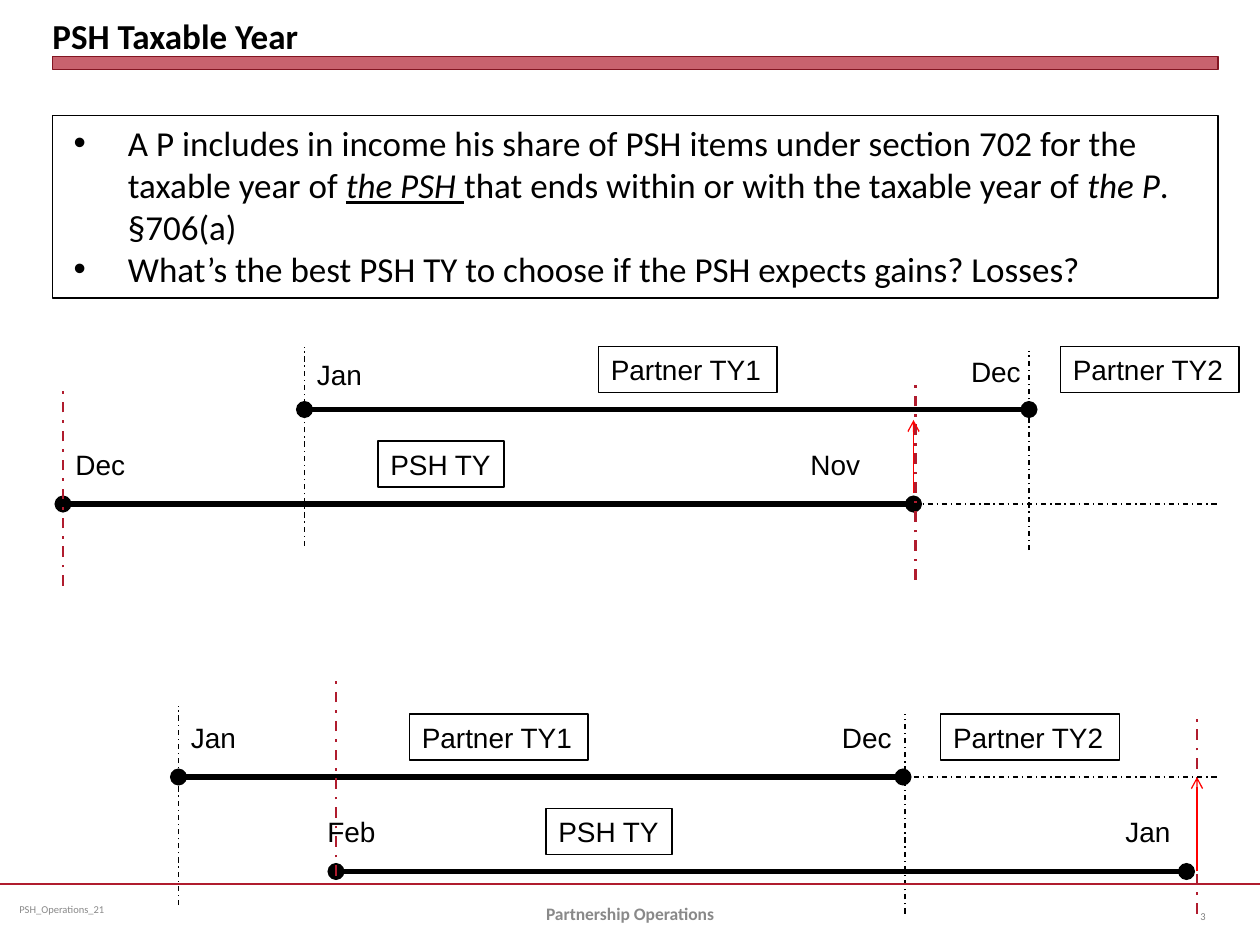
from lxml.etree import SubElement
from pptx import Presentation
from pptx.dml.color import RGBColor
from pptx.enum.dml import MSO_LINE
from pptx.enum.shapes import MSO_CONNECTOR, MSO_SHAPE
from pptx.enum.text import MSO_ANCHOR, MSO_AUTO_SIZE, PP_ALIGN
from pptx.oxml.ns import qn
from pptx.util import Inches, Pt

COLUMNS, ROWS = 120, 90
CELL = Inches(10) / COLUMNS
BLACK, CRIMSON, RED, GRAY = "000000", "B01C2E", "FF0000", "898989"
LABEL = {"name": "Arial", "size": Pt(16)}
BODY = {"name": "Calibri", "size": Pt(20)}
SMALL = {"name": "Calibri", "size": Pt(6)}
LABEL_HEIGHT = 4.4
MARKER_HEIGHT = 19


def grid(*values):
    """Turn grid cells into slide lengths."""
    return [round(value * CELL) for value in values]


def color(value):
    """Turn a hex string into a colour."""
    return RGBColor.from_string(value)


def add_line(page, start, end, ink=BLACK, width=0.75, dash=None, head=None, tail=None):
    """Draw a line between two grid points."""
    line = page.shapes.add_connector(MSO_CONNECTOR.STRAIGHT, *grid(*start, *end))
    line.line.color.rgb = color(ink)
    line.line.width = Pt(width)
    if dash:
        line.line.dash_style = dash
    outline = line.line._get_or_add_ln()
    for tag, kind in (("a:headEnd", head), ("a:tailEnd", tail)):
        if kind:
            SubElement(outline, qn(tag), type=kind)
    SubElement(line._element.spPr, qn("a:effectLst"))


def add_rectangle(page, box, ink=BLACK, width=0.75):
    """Draw an unfilled rectangle with a thin outline."""
    shape = page.shapes.add_shape(MSO_SHAPE.RECTANGLE, *grid(*box))
    shape.shadow.inherit = False
    shape.fill.background()
    shape.line.color.rgb = color(ink)
    shape.line.width = Pt(width)
    return shape


def add_span(para, text, style, ink=BLACK):
    """Add a run of formatted text to a paragraph."""
    span = para.add_run()
    span.text = text
    for name, value in style.items():
        setattr(span.font, name, value)
    span.font.color.rgb = color(ink)


def add_text(page, box, text, style, ink=BLACK, align=PP_ALIGN.LEFT, framed=False, **frame_style):
    """Write one line of text, framed or plain."""
    shape = add_rectangle(page, box) if framed else page.shapes.add_textbox(*grid(*box))
    settings = {"word_wrap": True, "vertical_anchor": MSO_ANCHOR.TOP, **frame_style}
    for name, value in settings.items():
        setattr(shape.text_frame, name, value)
    para = shape.text_frame.paragraphs[0]
    para.alignment = align
    add_span(para, text, style, ink)


def add_label(page, left, top, width, text, framed=False):
    """Write a timeline label that fits its text."""
    add_text(page, (left, top, width, LABEL_HEIGHT), text, LABEL, framed=framed,
             word_wrap=False, auto_size=MSO_AUTO_SIZE.SHAPE_TO_FIT_TEXT)


def add_header(page, left, top, width):
    """Place the title above its coloured bar."""
    margins = {f"margin_{side}": 0 for side in ("left", "top", "right", "bottom")}
    add_text(page, (left, top, width, 4.8), "PSH Taxable Year", {**BODY, "bold": True},
             vertical_anchor=MSO_ANCHOR.BOTTOM, **margins)
    bar = add_rectangle(page, (left, top + 4.8, width, 1.2), "821522", 0)
    bar.fill.solid()
    bar.fill.fore_color.rgb = color(CRIMSON)
    fill_color = bar._element.spPr.find(qn("a:solidFill"))[0]
    SubElement(fill_color, qn("a:alpha"), val="69000")


def add_rules(page, box):
    """Place the framed list of tax year rules."""
    italic = {"italic": True}
    paragraphs = [
        [("A P includes in income his share of PSH items under section 702 for the taxable year of ", {}),
         ("the PSH ", {**italic, "underline": True}),
         ("that ends within or with the taxable year of ", {}),
         ("the P", italic),
         (". §706(a)", {})],
        [("What’s the best PSH TY to choose if the PSH expects gains? Losses?", {})],
    ]
    frame = add_rectangle(page, box).text_frame
    frame.word_wrap = True
    frame.vertical_anchor = MSO_ANCHOR.TOP
    for index, spans in enumerate(paragraphs):
        para = frame.add_paragraph() if index else frame.paragraphs[0]
        para.alignment = PP_ALIGN.LEFT
        para.level = 1
        properties = para._p.get_or_add_pPr()
        properties.set("marL", str(Inches(0.5)))
        properties.set("indent", str(Inches(-0.43)))
        SubElement(properties, qn("a:buFont"), typeface="Arial")
        SubElement(properties, qn("a:buChar"), char="•")
        for text, style in spans:
            add_span(para, text, {**BODY, **style})


def add_timeline(page, top, partner, partnership, labels, frames, markers, arrow, extension):
    """Compare a partner's year with the partnership's year."""
    partner_row, partnership_row = top + 6, top + 15
    for start, length, row in ((partner, 69, partner_row), (partnership, 81, partnership_row)):
        add_line(page, (start, row), (start + length, row), width=3.25, head="oval", tail="oval")
    for left, drop, text in labels:
        add_label(page, left, top + drop, 7.1, text)
    for left, drop, width, text in frames:
        add_label(page, left, top + drop, width, text, framed=True)
    for column, drop, ink, width in markers:
        add_line(page, (column, top + drop + MARKER_HEIGHT), (column, top + drop),
                 ink, width, MSO_LINE.DASH_DOT)
    column, start, end = arrow
    add_line(page, (column, top + start), (column, top + end), RED, tail="arrow")
    add_line(page, (87, top + extension), (116, top + extension), dash=MSO_LINE.DASH_DOT)


def add_footer(page, top):
    """Place the footer rule, file name, course name and page number."""
    add_line(page, (0, top), (COLUMNS, top), CRIMSON, 1.25)
    middle = {"vertical_anchor": MSO_ANCHOR.MIDDLE}
    add_text(page, (1, top, 31, 4.8), "PSH_Operations_21", SMALL, GRAY,
             margin_left=Inches(0.07), **middle)
    add_text(page, (41, top + 0.4, 38, 4.8), "Partnership Operations",
             {"name": "Calibri", "size": Pt(10), "bold": True}, GRAY, PP_ALIGN.CENTER, **middle)
    add_text(page, (110, top + 0.7, 6, 4.8), "3", SMALL, "808080", PP_ALIGN.RIGHT, **middle)


def main():
    """Build the slide and save it."""
    deck = Presentation()
    deck.slide_width, deck.slide_height = grid(COLUMNS, ROWS)
    page = deck.slides.add_slide(deck.slide_layouts[6])
    add_header(page, 5, 0.6, 111)
    add_rules(page, (5, 11, 111, 17.4))
    add_timeline(
        page, 33, 29, 6,
        labels=[(29, 0.5, "Jan"), (91.3, 0.2, "Dec"), (6, 9, "Dec"), (76, 9, "Nov")],
        frames=[(57, 0, 17, "Partner TY1"), (101, 0, 17, "Partner TY2"), (36, 9, 12, "PSH TY")],
        markers=[(29, 0, BLACK, 0.75), (98, 0.4, BLACK, 0.75),
                 (6, 3.8, CRIMSON, 1.5), (87.2, 3.2, CRIMSON, 1.5)],
        arrow=(87, 14, 7), extension=15)
    add_timeline(
        page, 68, 17, 32,
        labels=[(17, 0, "Jan"), (79, 0, "Dec"), (30, 9, "Feb"), (106, 9, "Jan")],
        frames=[(39, 0, 17, "Partner TY1"), (89.6, 0, 17, "Partner TY2"), (52, 9, 12, "PSH TY")],
        markers=[(17, -0.8, BLACK, 0.75), (86.2, 0, BLACK, 0.75),
                 (32, -3.6, CRIMSON, 1.5), (114, 0, CRIMSON, 1.5)],
        arrow=(114, 15, 6), extension=6)
    add_footer(page, 84.2)
    deck.save("out.pptx")


if __name__ == "__main__":
    main()
